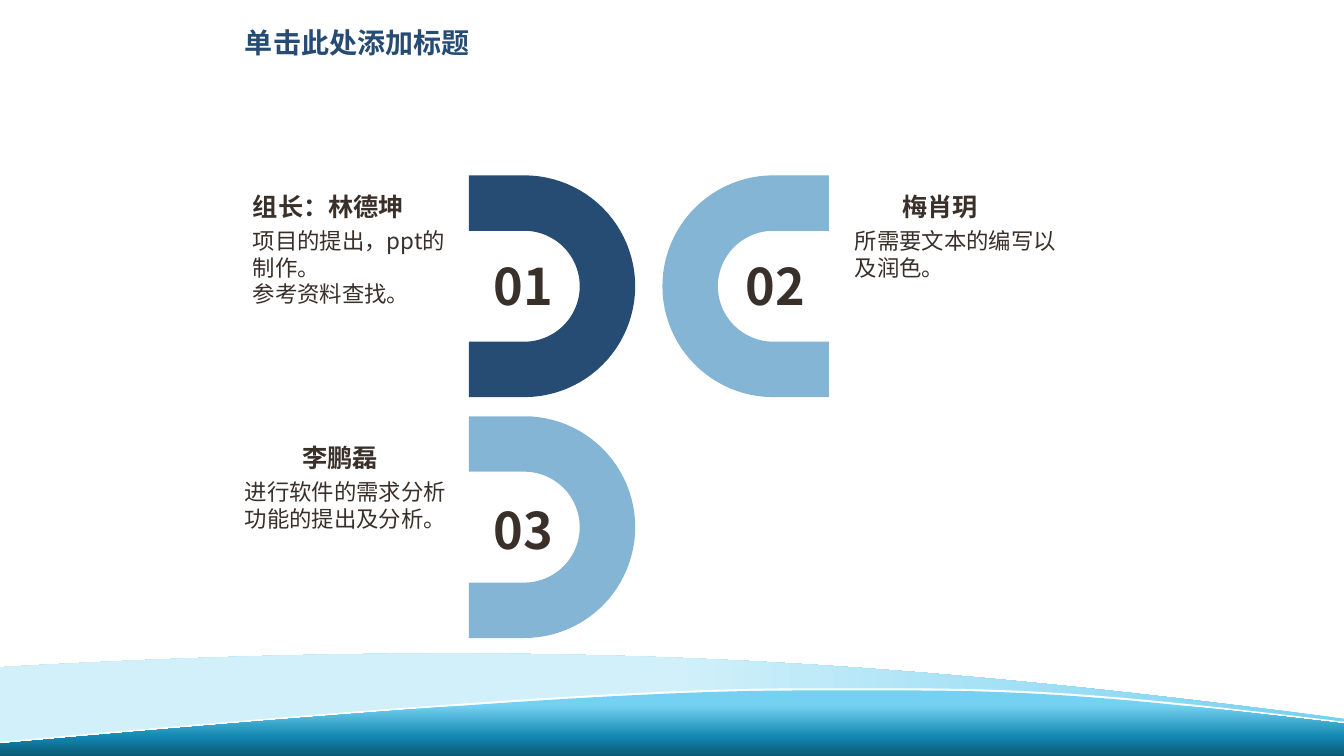
"""Build a team slide with three numbered arches above a wave footer."""
import math
from lxml import etree
from pptx import Presentation, util as u
from pptx.dml.color import RGBColor
from pptx.enum import text as t
from pptx.oxml.ns import qn

WIDE, HIGH = 13.33, 7.5
NAVY, SKY, DARK = "264C73", "84B5D5", "39302A"
SANS = "Noto Sans CJK SC"
TITLE = "单击此处添加标题"

HEAD = dict(size=18, bold=True, name=SANS, color=DARK)
BODY = dict(size=16, bold=False, name=SANS, color=DARK)
NUM = dict(size=36, bold=True, name=SANS, color=DARK)
TOP = dict(size=20, bold=True, name="Arial", color=NAVY)
LINE = 1.18

WAVES = [
    ((0, 6.62),
     [[(5.92, 6.28), (9.33, 6.62), (WIDE, 7.13)],
      [(WIDE, 7.33)],
      [(8.72, 6.41), (4.83, 7.18), (0, 7.41)]],
     [(0, "75D1F1"), (50, "D1F0FA"), (100, "D1F0FA")], 180),
    ((7.98, 6.83),
     [[(8.35, 6.83), (8.65, 6.83), (8.99, 6.83)],
      [(10.36, 6.83), (11.31, 6.92), (WIDE, 7.16)],
      [(WIDE, 7.26)],
      [(11.31, 7.02), (10.36, 6.93), (8.99, 6.94)],
      [(8.65, 6.94), (8.35, 6.93), (7.98, 6.93)],
      [(6.88, 6.93), (5.19, 7), (0, 7.46)],
      [(0, 7.36)],
      [(5.19, 6.89), (6.88, 6.83), (7.98, 6.83)]],
     "FFFFFF", 0),
    ((7.98, 6.85),
     [[(8.35, 6.85), (8.65, 6.85), (8.99, 6.85)],
      [(10.36, 6.85), (11.31, 6.94), (WIDE, 7.18)],
      [(WIDE, HIGH)],
      [(0, HIGH)],
      [(0, 7.38)],
      [(5.19, 6.91), (6.88, 6.85), (7.98, 6.85)]],
     [(23, "75D1F1"), (71, "1287AF"), (100, "0C5A75")], 90),
]

ARCHES = [(4.65, 1.74, 1, NAVY), (4.65, 4.13, 1, SKY), (8.22, 1.74, -1, SKY)]
STEM, OUTER, INNER = 0.55, 1.1, 0.55

LABELS = [
    (2.41, 1.85, 1.72, 0.4, ["组长：林德坤"], HEAD),
    (2.41, 2.21, 2.23, 1.18, ["项目的提出，ppt的制作。", "参考资料查找。"], BODY),
    (4.8, 2.49, 0.83, 0.71, ["01"], NUM),
    (7.3, 2.49, 0.83, 0.71, ["02"], NUM),
    (4.8, 4.91, 0.83, 0.71, ["03"], NUM),
    (8.85, 1.85, 0.96, 0.4, ["梅肖玥"], HEAD),
    (8.38, 2.21, 2.23, 0.64, ["所需要文本的编写以及润色。"], BODY),
    (2.9, 4.34, 0.96, 0.4, ["李鹏磊"], HEAD),
    (2.33, 4.7, 2.23, 0.91, ["进行软件的需求分析", "功能的提出及分析。"], BODY),
]


def tint(code):
    """Turn a hex string into a colour."""
    return RGBColor.from_string(code)


def curve(start, parts, steps=40):
    """Sample a chain of lines and cubic curves."""
    dots = [start]
    for part in parts:
        if len(part) == 1:
            dots += part
            continue
        ends = [dots[-1], *part]
        for i in range(1, steps + 1):
            k = i / steps
            mix = [math.comb(3, n) * k**n * (1 - k)**(3 - n) for n in range(4)]
            dots.append(tuple(sum(m * e[a] for m, e in zip(mix, ends))
                              for a in (0, 1)))
    return dots


def arch(left, top, way, steps=48):
    """Outline a half ring with straight stems, opening against way."""
    mid = top + OUTER

    def arc(rad):
        """Run a half circle from top to bottom."""
        turns = [math.pi * (i / steps - 0.5) for i in range(steps + 1)]
        return [(left + way * (STEM + rad * math.cos(a)),
                 mid + rad * math.sin(a)) for a in turns]

    return ([(left, mid - OUTER)] + arc(OUTER)
            + [(left, mid + OUTER), (left, mid + INNER)]
            + arc(INNER)[::-1] + [(left, mid - INNER)])


def draw(slide, dots, fill, angle=0):
    """Draw a closed outline with a plain or graded fill."""
    pts = [(u.Inches(x), u.Inches(y)) for x, y in dots]
    pen = slide.shapes.build_freeform(*pts[0], scale=1.0)
    pen.add_line_segments(pts[1:], close=True)
    shape = pen.convert_to_shape()
    shape.shadow.inherit = False
    shape.line.fill.background()
    if isinstance(fill, str):
        shape.fill.solid()
        shape.fill.fore_color.rgb = tint(fill)
        return
    shape.fill.gradient()
    grad = shape._element.spPr.find(qn("a:gradFill"))
    stops = grad.find(qn("a:gsLst"))
    for stop in list(stops):
        stops.remove(stop)
    for pos, code in fill:
        stop = etree.SubElement(stops, qn("a:gs"), pos=str(pos * 1000))
        etree.SubElement(stop, qn("a:srgbClr"), val=code)
    grad.find(qn("a:lin")).set("ang", str(angle * 60000))


def write(box, lines, style, ratio=LINE, wrap=False):
    """Fill a text frame with styled lines."""
    frame = box.text_frame
    form = dict(word_wrap=wrap, auto_size=t.MSO_AUTO_SIZE.SHAPE_TO_FIT_TEXT,
                vertical_anchor=t.MSO_ANCHOR.TOP)
    for key, val in form.items():
        setattr(frame, key, val)
    for i, line in enumerate(lines):
        para = frame.add_paragraph() if i else frame.paragraphs[0]
        para.alignment = t.PP_ALIGN.LEFT
        para.line_spacing = u.Pt(round(style["size"] * ratio, 1))
        run = para.add_run()
        run.text = line
        font = run.font
        for key in ("bold", "name"):
            setattr(font, key, style[key])
        font.size = u.Pt(style["size"])
        font.color.rgb = tint(style["color"])
        etree.SubElement(run._r.get_or_add_rPr(), qn("a:ea"), typeface=SANS)


def main():
    """Build and save the slide."""
    deck = Presentation()
    deck.slide_width, deck.slide_height = u.Inches(WIDE), u.Inches(HIGH)
    slide = deck.slides.add_slide(deck.slide_layouts[5])
    for start, parts, fill, angle in WAVES:
        draw(slide, curve(start, parts), fill, angle)
    title = slide.shapes.title
    spot = dict(left=2.33, top=0.11, width=2.45, height=0.49)
    for key, val in spot.items():
        setattr(title, key, u.Inches(val))
    write(title, [TITLE], TOP, LINE * 1.3)
    for left, top, way, fill in ARCHES:
        draw(slide, arch(left, top, way), fill)
    for *rect, lines, style in LABELS:
        box = slide.shapes.add_textbox(*map(u.Inches, rect))
        write(box, lines, style, wrap=style is BODY)
    deck.save("out.pptx")


if __name__ == "__main__":
    main()
